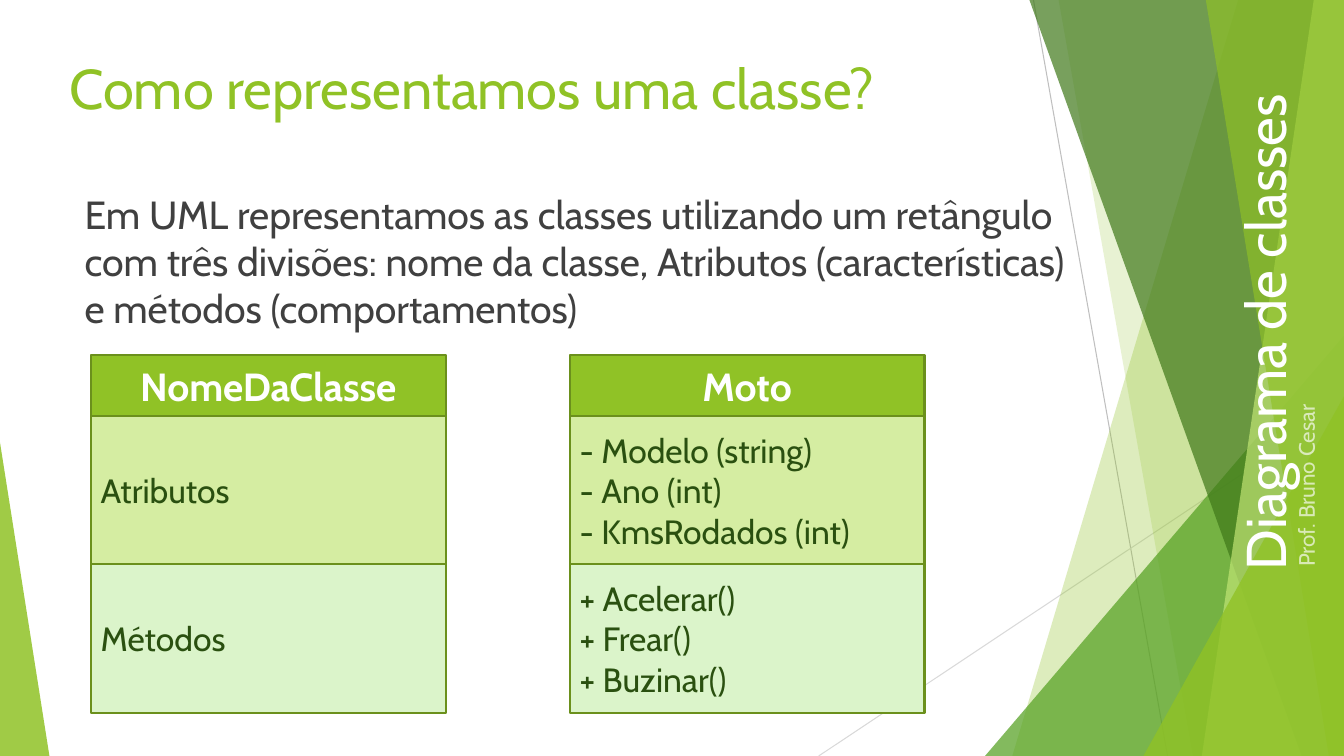
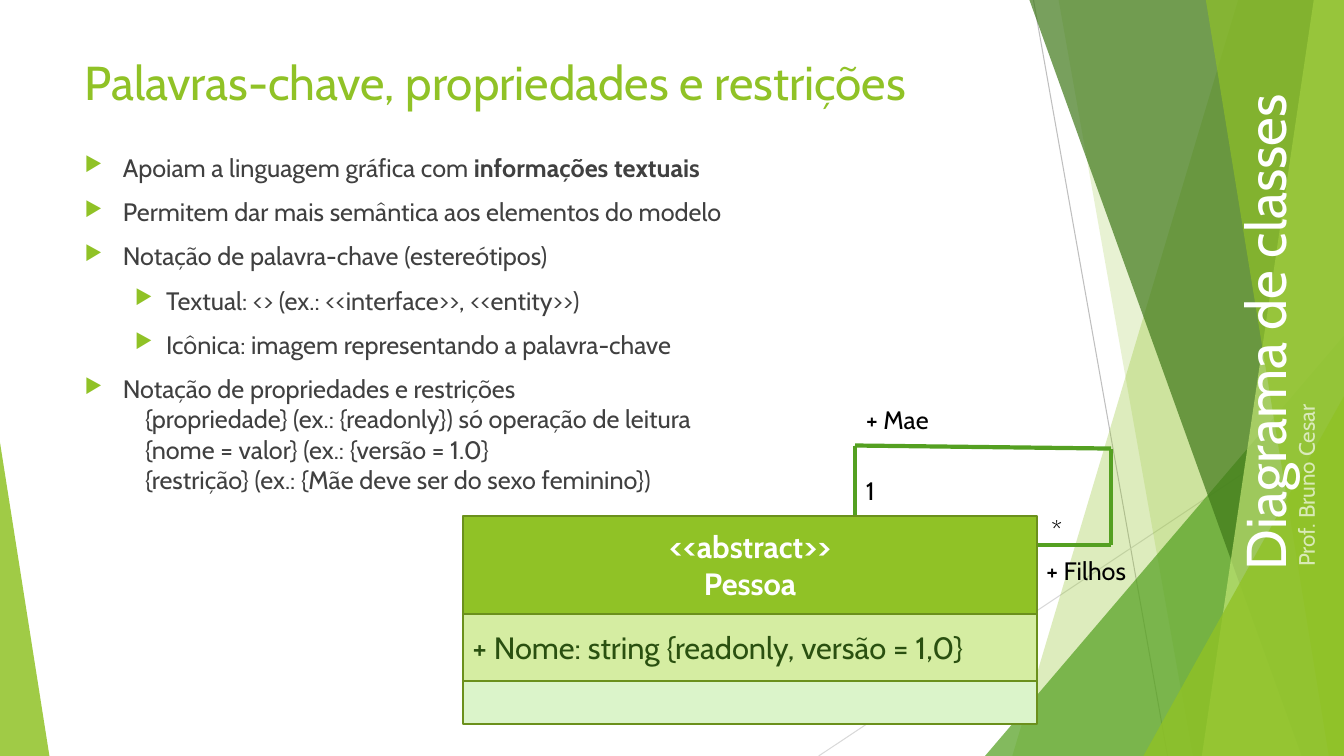
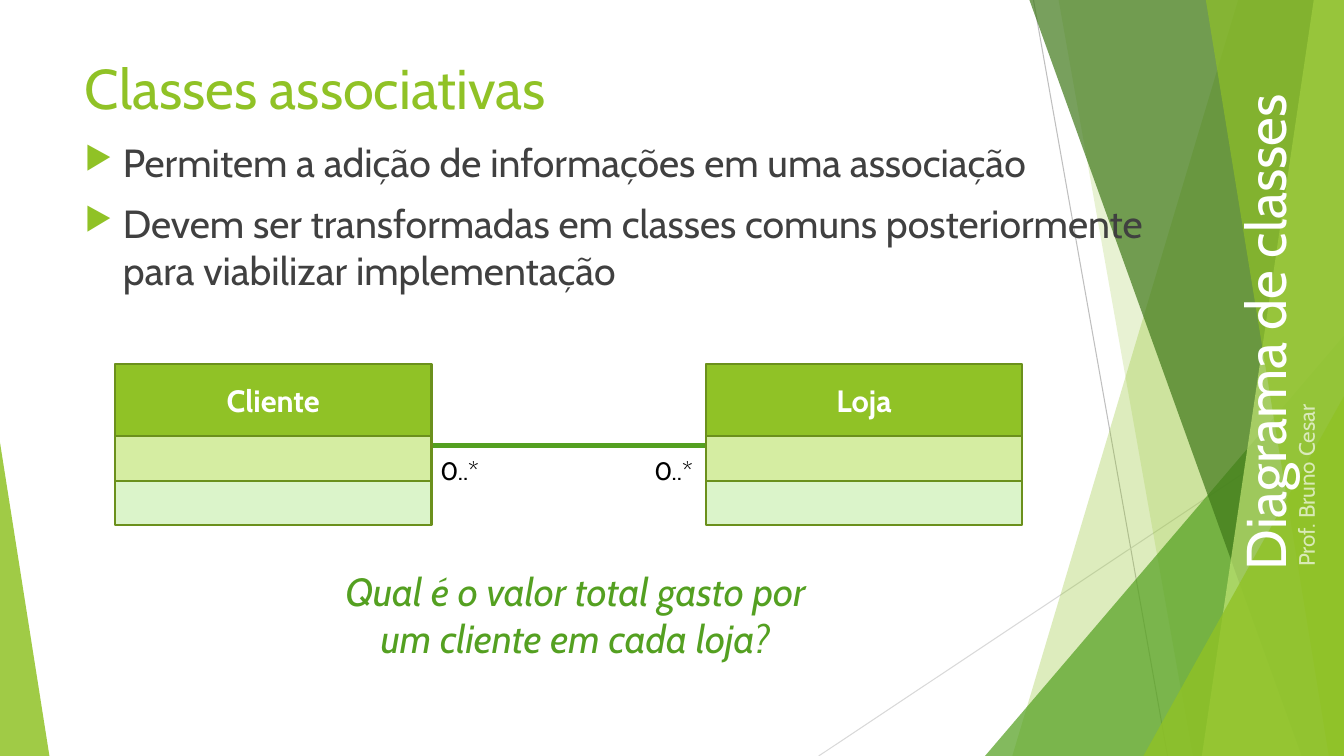
from dataclasses import dataclass
from itertools import pairwise

from lxml.etree import SubElement
from pptx import Presentation
from pptx.dml.color import RGBColor
from pptx.enum.shapes import MSO_CONNECTOR, MSO_SHAPE
from pptx.enum.text import MSO_ANCHOR, MSO_AUTO_SIZE, PP_ALIGN
from pptx.oxml.ns import qn
from pptx.util import Inches, Pt

FONT = "Cabin"
WIDTH, HEIGHT = 13.33, 7.5
COLORS = {
    "lime": "90C226",
    "pale_lime": "C0E474",
    "green": "54A021",
    "forest": "3F7819",
    "border": "6B901C",
    "attributes": "D5EDA2",
    "methods": "DBF4CA",
    "member": "2A5010",
    "body": "404040",
    "black": "000000",
    "white": "FFFFFF",
    "gray": "BFBFBF",
    "light_gray": "D9D9D9",
}


@dataclass(frozen=True)
class Box:
    left: float
    top: float
    width: float
    height: float

    def lengths(self) -> list:
        return [Inches(v) for v in (self.left, self.top, self.width, self.height)]


@dataclass(frozen=True)
class Facet:
    top_x: float
    bottom_x: float
    color: str
    alpha: int


@dataclass(frozen=True)
class Wedge:
    box: Box
    apex: float
    color: str
    alpha: int


@dataclass(frozen=True)
class Style:
    size: float
    color: str
    bold: bool = False
    italic: bool = False
    align: PP_ALIGN = PP_ALIGN.LEFT
    alpha: int = 100


@dataclass(frozen=True)
class Line:
    text: str
    strong: str = ""
    indent: float = 0
    hanging: float = 0
    before: float = 0


@dataclass(frozen=True)
class ClassBox:
    left: float
    top: float
    width: float
    heights: tuple[float, float, float]
    name: str
    attributes: str = ""
    methods: str = ""
    name_size: float = 22
    member_size: float = 22


@dataclass(frozen=True)
class Label:
    text: str
    box: Box
    align: PP_ALIGN = PP_ALIGN.LEFT


BACK_FACETS = (
    Facet(12.28, 10.04, "lime", 30),
    Facet(10.5, 11.83, "lime", 20),
)
FRONT_FACETS = (
    Facet(10.21, 12.91, "forest", 70),
    Facet(13.03, 11.92, "pale_lime", 70),
    Facet(11.96, 13.18, "lime", 65),
)
MIDDLE_WEDGE = Wedge(Box(9.77, 3.33, 3.56, 4.17), 1, "green", 72)
CORNER_WEDGES = (
    Wedge(Box(11.34, 3.93, 1.99, 3.57), 1, "lime", 80),
    Wedge(Box(0, 4.39, 0.49, 3.11), 0, "lime", 85),
)


def rgb(color: str) -> RGBColor:
    return RGBColor.from_string(COLORS[color])


def set_alpha(element, alpha: int) -> None:
    if alpha < 100:
        tint = element.find(".//" + qn("a:srgbClr"))
        SubElement(tint, qn("a:alpha")).set("val", str(alpha * 1000))


def paint(shape, color: str, alpha: int = 100) -> None:
    shape.shadow.inherit = False
    shape.fill.solid()
    shape.fill.fore_color.rgb = rgb(color)
    set_alpha(shape.element, alpha)
    shape.line.fill.background()


def add_line(shapes, start: tuple, end: tuple, color: str, weight: float) -> None:
    line = shapes.add_connector(
        MSO_CONNECTOR.STRAIGHT, *(Inches(v) for v in (*start, *end))
    )
    line.line.color.rgb = rgb(color)
    line.line.width = Pt(weight)
    SubElement(line.element.spPr, qn("a:effectLst"))


def add_facet(shapes, facet: Facet) -> None:
    corners = [(WIDTH, 0), (WIDTH, HEIGHT), (facet.bottom_x, HEIGHT)]
    outline = shapes.build_freeform(Inches(facet.top_x), 0)
    outline.add_line_segments([(Inches(x), Inches(y)) for x, y in corners])
    paint(outline.convert_to_shape(), facet.color, facet.alpha)


def add_wedge(shapes, wedge: Wedge) -> None:
    triangle = shapes.add_shape(MSO_SHAPE.ISOSCELES_TRIANGLE, *wedge.box.lengths())
    triangle.adjustments[0] = wedge.apex
    paint(triangle, wedge.color, wedge.alpha)


def move_backdrop_to_layout(slide, layout) -> None:
    backdrop = slide.shapes.add_group_shape()
    shapes = backdrop.shapes
    add_line(shapes, (10.25, 0), (11.58, HEIGHT), "gray", 0.75)
    add_line(shapes, (WIDTH, 4.03), (8.12, HEIGHT), "light_gray", 0.75)
    for facet in BACK_FACETS:
        add_facet(shapes, facet)
    add_wedge(shapes, MIDDLE_WEDGE)
    for facet in FRONT_FACETS:
        add_facet(shapes, facet)
    for wedge in CORNER_WEDGES:
        add_wedge(shapes, wedge)
    layout.shapes.element.append(backdrop.element)


def add_run(paragraph, text: str, style: Style, strong: bool = False) -> None:
    run = paragraph.add_run()
    run.text = text
    font = run.font
    font.name = FONT
    font.size = Pt(style.size)
    font.bold = style.bold or strong
    font.italic = style.italic
    font.color.rgb = rgb(style.color)
    set_alpha(run._r, style.alpha)


def add_bullet(properties) -> None:
    bullet_color = SubElement(properties, qn("a:buClr"))
    SubElement(bullet_color, qn("a:srgbClr")).set("val", COLORS["lime"])
    SubElement(properties, qn("a:buSzPct")).set("val", "80000")
    SubElement(properties, qn("a:buChar")).set("char", "▶")


def write(frame, lines: list[Line], style: Style) -> None:
    frame.word_wrap = True
    for index, line in enumerate(lines):
        paragraph = frame.add_paragraph() if index else frame.paragraphs[0]
        paragraph.alignment = style.align
        paragraph.space_before = Pt(line.before)
        if line.indent:
            properties = paragraph._p.get_or_add_pPr()
            properties.set("marL", str(Inches(line.indent)))
            properties.set("indent", str(-Inches(line.hanging)))
            if line.hanging:
                add_bullet(properties)
        add_run(paragraph, line.text, style)
        if line.strong:
            add_run(paragraph, line.strong, style, strong=True)


def plain(text: str) -> list[Line]:
    return [Line(part) for part in text.split("\n")]


def point(text: str, strong: str = "") -> Line:
    return Line(text, strong, 0.38, 0.38, 10)


def subpoint(text: str) -> Line:
    return Line(text, "", 0.81, 0.31, 10)


def continuation(text: str) -> Line:
    return Line(text, indent=0.6)


def add_text(slide, box: Box, lines: list[Line], style: Style, turn: int = 0) -> None:
    text_box = slide.shapes.add_textbox(*box.lengths())
    text_box.rotation = turn
    write(text_box.text_frame, lines, style)


def add_labels(slide, labels: list[Label]) -> None:
    for label in labels:
        add_text(slide, label.box, plain(label.text),
                 Style(18, "black", align=label.align))


def add_class(slide, item: ClassBox) -> None:
    name_style = Style(item.name_size, "white", bold=True, align=PP_ALIGN.CENTER)
    member_style = Style(item.member_size, "member")
    divisions = (
        (item.name, "lime", name_style),
        (item.attributes, "attributes", member_style),
        (item.methods, "methods", member_style),
    )
    top = item.top
    for height, (text, color, style) in zip(item.heights, divisions):
        box = Box(item.left, top, item.width, height)
        division = slide.shapes.add_shape(MSO_SHAPE.RECTANGLE, *box.lengths())
        paint(division, color)
        division.line.color.rgb = rgb("border")
        division.line.width = Pt(1.5)
        division.text_frame.vertical_anchor = MSO_ANCHOR.MIDDLE
        if text:
            write(division.text_frame, plain(text), style)
        top += height


def add_slide(deck, layout, heading: str, size: float = 40, left: float = 0.74):
    slide = deck.slides.add_slide(layout)
    title = slide.shapes.title
    title.left, title.top, title.width, title.height = Box(left, 0.48, 9.4, 0.93).lengths()
    title.text_frame.vertical_anchor = MSO_ANCHOR.TOP
    title.text_frame.auto_size = MSO_AUTO_SIZE.NONE
    write(title.text_frame, plain(heading), Style(size, "lime"))
    add_text(slide, Box(9.84, 2.67, 5.4, 0.77), plain("Diagrama de classes"),
             Style(40, "white"), 270)
    add_text(slide, Box(11.8, 4.3, 2.39, 0.45), plain("Prof. Bruno Cesar"),
             Style(16, "white", alpha=65), 270)
    return slide


def build_representation(deck, layout) -> None:
    slide = add_slide(deck, layout, "Como representamos uma classe?", left=0.59)
    move_backdrop_to_layout(slide, layout)
    add_text(slide, Box(0.74, 1.84, 10.01, 1.91), plain(
        "Em UML representamos as classes utilizando um retângulo com três divisões: "
        "nome da classe, Atributos (características) e métodos (comportamentos)"
    ), Style(28, "body"))
    examples = (
        ("NomeDaClasse", "Atributos", "Métodos"),
        ("Moto", "- Modelo (string)\n- Ano (int)\n- KmsRodados (int)",
         "+ Acelerar()\n+ Frear()\n+ Buzinar()"),
    )
    for index, texts in enumerate(examples):
        add_class(slide, ClassBox(0.9 + 4.75 * index, 3.52, 3.52, (0.61, 1.47, 1.47),
                                  *texts, name_size=28, member_size=24))


def build_keywords(deck, layout) -> None:
    slide = add_slide(deck, layout, "Palavras-chave, propriedades e restrições", 34)
    add_text(slide, Box(0.74, 1.46, 10.47, 5.72), [
        point("Apoiam a linguagem gráfica com ", "informações textuais"),
        point("Permitem dar mais semântica aos elementos do modelo"),
        point("Notação de palavra-chave (estereótipos)"),
        subpoint("Textual: <> (ex.: <<interface>>, <<entity>>)"),
        subpoint("Icônica: imagem representando a palavra-chave"),
        point("Notação de propriedades e restrições"),
        continuation("{propriedade} (ex.: {readonly}) só operação de leitura"),
        continuation("{nome = valor} (ex.: {versão = 1.0}"),
        continuation("{restrição} (ex.: {Mãe deve ser do sexo feminino})"),
    ], Style(18, "body"))
    self_association = [(10.23, 5.41), (11.02, 5.41), (11.02, 4.45),
                        (8.48, 4.42), (8.48, 5.66)]
    for start, end in pairwise(self_association):
        add_line(slide.shapes, start, end, "green", 3)
    add_class(slide, ClassBox(4.59, 5.12, 5.7, (0.97, 0.67, 0.42),
                              "<<abstract>>\nPessoa",
                              "+ Nome: string {readonly, versão = 1,0}"))
    add_labels(slide, [
        Label("+ Filhos", Box(10.28, 5.46, 1.06, 0.4)),
        Label("1", Box(8.49, 4.67, 0.34, 0.4)),
        Label("+ Mae", Box(8.33, 3.96, 0.98, 0.4), PP_ALIGN.RIGHT),
        Label("*", Box(10.33, 5.05, 0.32, 0.4)),
    ])


def build_associative(deck, layout) -> None:
    slide = add_slide(deck, layout, "Classes associativas")
    add_text(slide, Box(0.74, 1.32, 10.97, 1.85), [
        point("Permitem a adição de informações em uma associação"),
        point("Devem ser transformadas em classes comuns posteriormente "
              "para viabilizar implementação"),
    ], Style(28, "body"))
    add_line(slide.shapes, (4.28, 4.42), (7, 4.42), "green", 3)
    for left, name in ((1.14, "Cliente"), (7, "Loja")):
        add_class(slide, ClassBox(left, 3.61, 3.14, (0.72, 0.44, 0.44), name))
    add_text(slide, Box(2.98, 5.58, 5.45, 1.04),
             plain("Qual é o valor total gasto por\num cliente em cada loja?"),
             Style(28, "green", italic=True, align=PP_ALIGN.CENTER))
    add_labels(slide, [
        Label("0..*", Box(4.27, 4.47, 0.61, 0.4)),
        Label("0..*", Box(6.36, 4.47, 0.61, 0.4), PP_ALIGN.RIGHT),
    ])


def main() -> None:
    deck = Presentation()
    deck.slide_width, deck.slide_height = Inches(WIDTH), Inches(HEIGHT)
    title_only = deck.slide_layouts[5]
    build_representation(deck, title_only)
    build_keywords(deck, title_only)
    build_associative(deck, title_only)
    deck.save("out.pptx")


if __name__ == "__main__":
    main()
